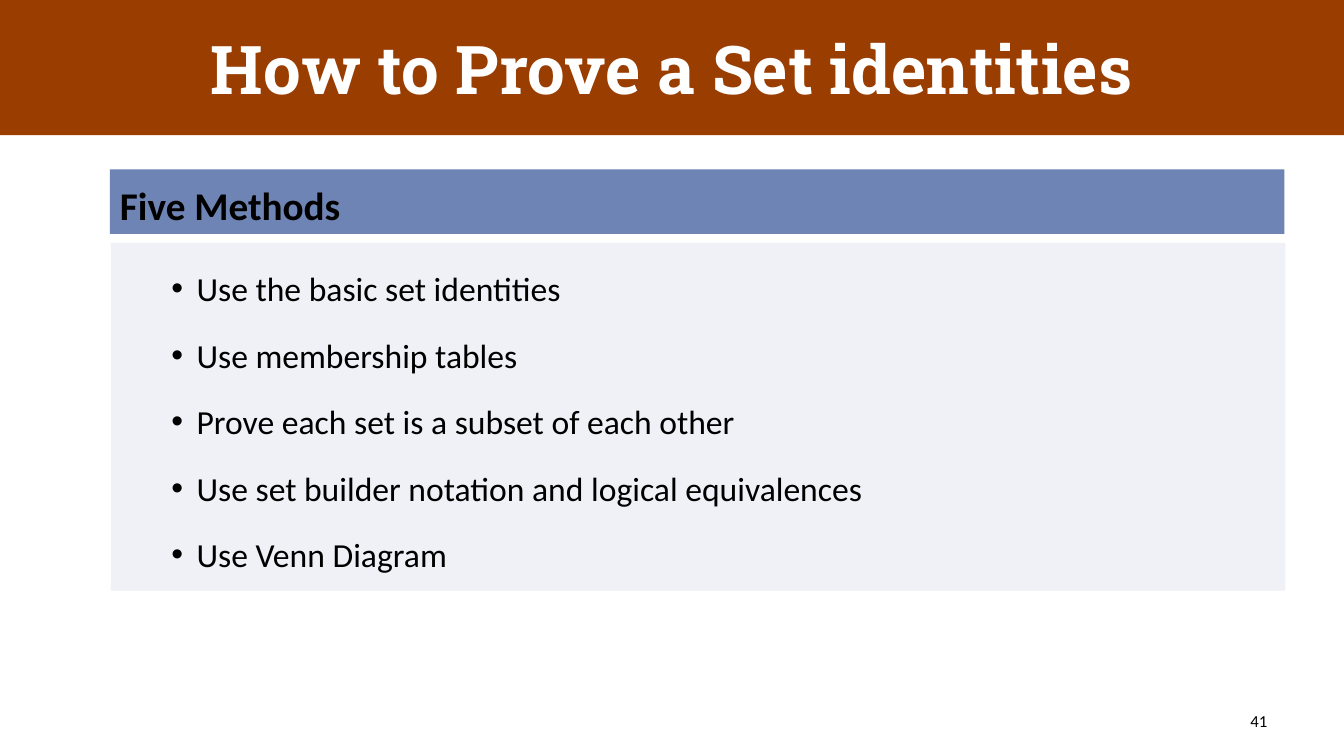
from pptx import Presentation
from pptx.dml.color import RGBColor
from pptx.enum.text import MSO_ANCHOR as Anchor, MSO_AUTO_SIZE as AutoSize, PP_ALIGN as Align
from pptx.oxml.ns import qn
from pptx.util import Inches, Pt
from lxml.etree import SubElement

RUST = RGBColor(0x9A, 0x3D, 0x01)
BLUE = RGBColor(0x6E, 0x84, 0xB4)
PALE = RGBColor(0xEF, 0xF1, 0xF7)
WHITE = RGBColor(0xFF, 0xFF, 0xFF)
BLACK = RGBColor(0, 0, 0)

METHODS = [
    "Use the basic set identities",
    "Use membership tables",
    "Prove each set is a subset of each other",
    "Use set builder notation and logical equivalences",
    "Use Venn Diagram",
]


def place(area, left, top, width, height, fill=None):
    area.left, area.top = Inches(left), Inches(top)
    area.width, area.height = Inches(width), Inches(height)
    if fill is not None:
        area.fill.solid()
        area.fill.fore_color.rgb = fill


def add_bullet(paragraph, indent=0.75, hanging=0.25):
    properties = paragraph._p.get_or_add_pPr()
    properties.set("marL", str(Inches(indent)))
    properties.set("indent", str(-Inches(hanging)))
    SubElement(properties, qn("a:buFont"), typeface="Arial")
    SubElement(properties, qn("a:buChar"), char="•")


def write(area, lines, size=24, font="Calibri", color=BLACK, bold=False, align=Align.LEFT,
          anchor=Anchor.TOP, spacing=1.0, before=0, level=0, bullet=False):
    frame = area.text_frame
    frame.word_wrap = True
    frame.auto_size = AutoSize.NONE
    frame.vertical_anchor = anchor
    for i, line in enumerate(lines):
        paragraph = frame.paragraphs[0] if i == 0 else frame.add_paragraph()
        paragraph.level = level
        paragraph.alignment = align
        paragraph.line_spacing = spacing
        paragraph.space_before = Pt(before if i else 0)
        if bullet:
            add_bullet(paragraph)
        run = paragraph.add_run()
        run.text = line
        run.font.size, run.font.name, run.font.bold = Pt(size), font, bold
        run.font.color.rgb = color


def main():
    deck = Presentation()
    deck.slide_width, deck.slide_height = Inches(13.33), Inches(7.5)
    slide = deck.slides.add_slide(deck.slide_layouts.get_by_name("Comparison"))
    title, heading, methods, *unused = slide.placeholders
    for placeholder in unused:
        placeholder.element.getparent().remove(placeholder.element)

    # Title band
    place(title, 0, 0, 13.33, 1.34, RUST)
    write(title, ["How to Prove a Set identities"], size=48, font="Roboto Slab",
          color=WHITE, bold=True, align=Align.CENTER, anchor=Anchor.MIDDLE)

    # Heading bar and list of methods
    place(heading, 1.09, 1.68, 11.65, 0.64, BLUE)
    write(heading, ["Five Methods"], size=28, bold=True, spacing=1.14)
    place(methods, 1.1, 2.41, 11.65, 3.45, PALE)
    write(methods, METHODS, align=Align.JUSTIFY, spacing=1.5, before=4.25,
          level=1, bullet=True)

    # Page number
    page_number = slide.shapes.add_textbox(0, 0, 0, 0)
    place(page_number, 9.56, 6.95, 3.11, 0.4)
    write(page_number, ["41"], size=12, align=Align.RIGHT, anchor=Anchor.MIDDLE)

    deck.save("out.pptx")


if __name__ == "__main__":
    main()
